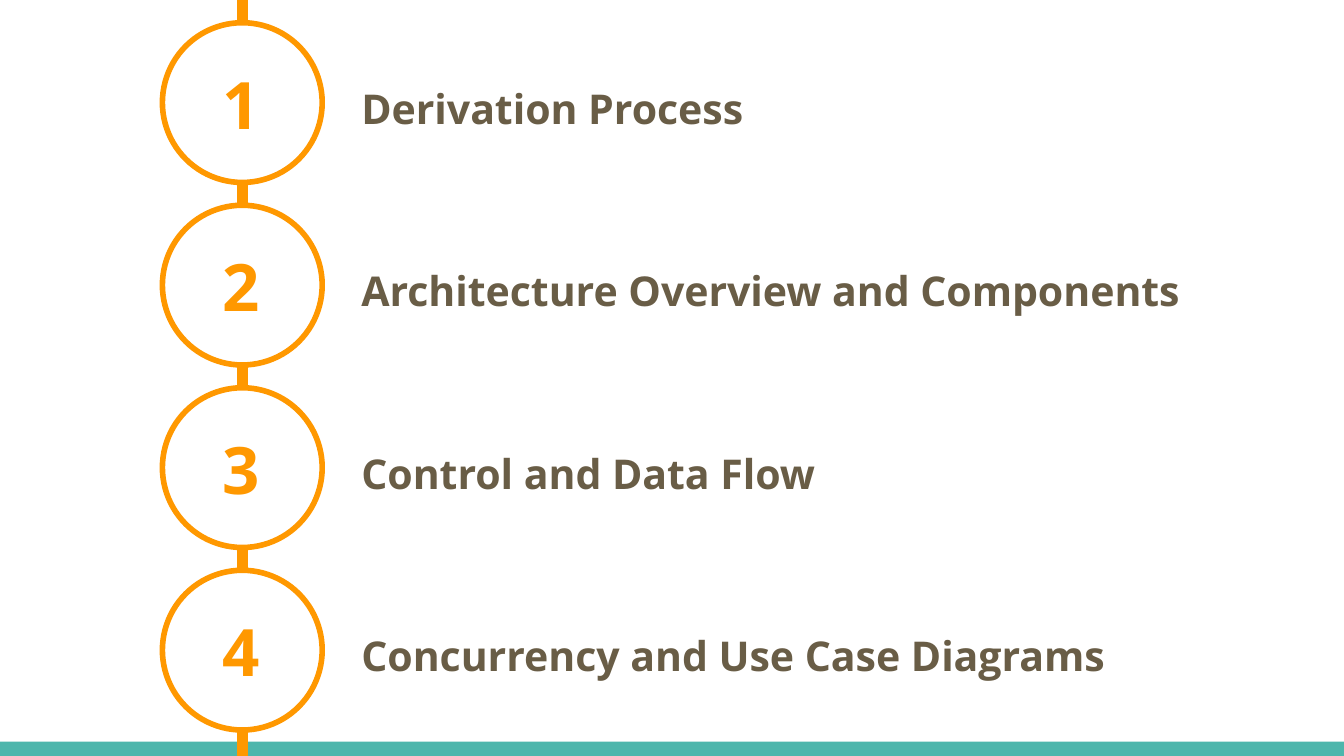
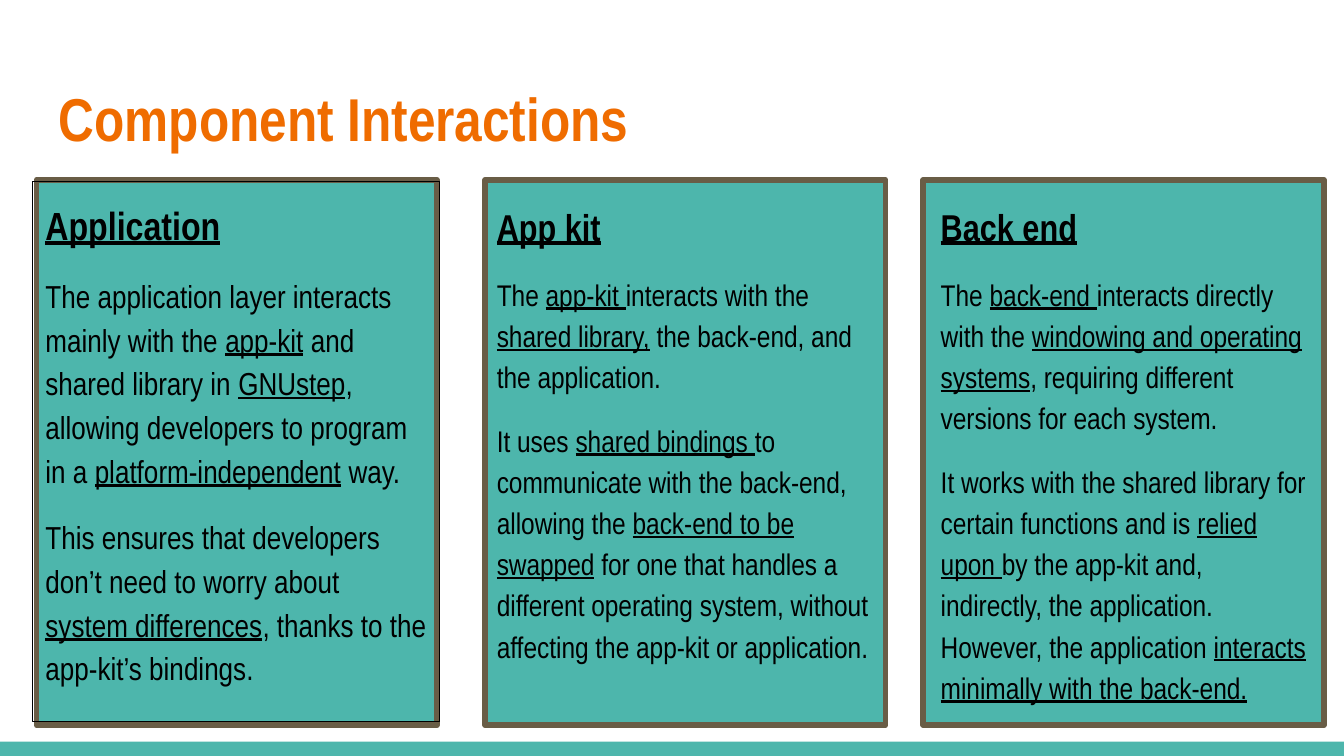
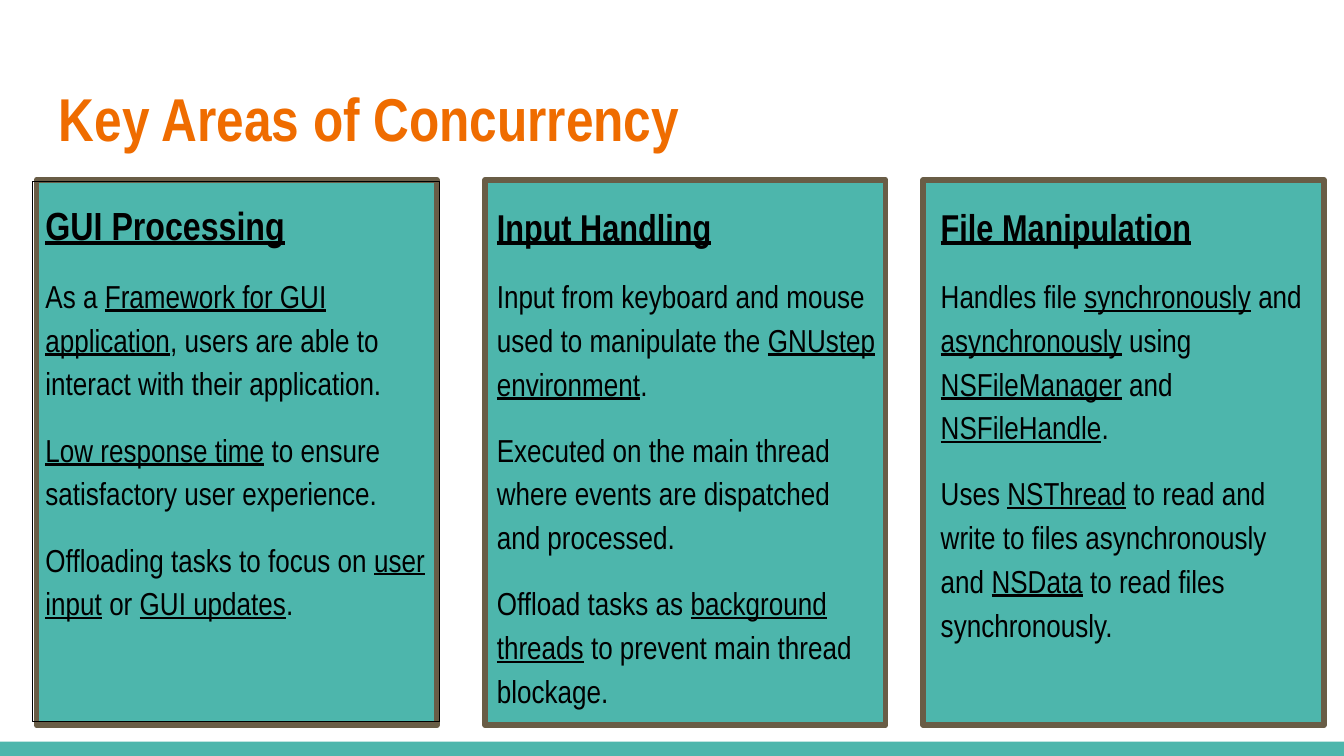
from lxml import etree
from pptx import Presentation
from pptx.dml.color import RGBColor
from pptx.enum.shapes import MSO_CONNECTOR as CONNECTOR, MSO_SHAPE as SHAPE
from pptx.enum.text import MSO_ANCHOR as ANCHOR, MSO_AUTO_SIZE as AUTO, PP_ALIGN as ALIGN
from pptx.oxml.ns import qn
from pptx.util import Cm, Pt

WIDTH, HEIGHT = 25.4, 14.29
TEAL, AMBER, ORANGE, BROWN, BLACK, WHITE = (
    "4DB6AC", "FF9800", "EF6C00", "695D46", "000000", "FFFFFF")
SANS, NARROW = "Open Sans", "Arial Narrow"

TOPICS = ["Derivation Process", "Architecture Overview and Components",
          "Control and Data Flow", "Concurrency and Use Case Diagrams"]

# Each card: heading, body size, text height, paragraphs (_underlined_ parts)
INTERACTIONS = [
    ("Application", 17, 10.21, [
        "The application layer interacts mainly with the _app-kit_ and shared library in "
        "_GNUstep_, allowing developers to program in a _platform-independent_ way.",
        "This ensures that developers don’t need to worry about _system differences_, "
        "thanks to the app-kit’s bindings."]),
    ("App kit", 16, 9.32, [
        "The _app-kit _interacts with the _shared library,_ the back-end, and the application.",
        "It uses _shared bindings _to communicate with the back-end, allowing the "
        "_back-end to be swapped_ for one that handles a different operating system, "
        "without affecting the app-kit or application."]),
    ("Back end", 16, 10.11, [
        "The _back-end _interacts directly with the _windowing and operating systems_, "
        "requiring different versions for each system.",
        "It works with the shared library for certain functions and is _relied upon _by the "
        "app-kit and, indirectly, the application. However, the application "
        "_interacts minimally with the back-end._"]),
]
CONCURRENCY = [
    ("GUI Processing", 17, 10.21, [
        "As a _Framework for GUI application_, users are able to interact with their "
        "application.",
        "_Low response time_ to ensure satisfactory user experience.",
        "Offloading tasks to focus on _user input_ or _GUI updates_."]),
    ("Input Handling", 17, 10.19, [
        "Input from keyboard and mouse used to manipulate the _GNUstep environment_.",
        "Executed on the main thread where events are dispatched and processed.",
        "Offload tasks as _background threads_ to prevent main thread blockage."]),
    ("File Manipulation", 17, 8.94, [
        "Handles file _synchronously_ and_ asynchronously_ using _NSFileManager_ and "
        "_NSFileHandle_.",
        "Uses _NSThread_ to read and write to files asynchronously and _NSData_ to read "
        "files synchronously."]),
]


def rgb(value):
    return RGBColor.from_string(value)


def set_font(font, name, size, color, bold=False):
    font.name, font.size, font.bold = name, Pt(size), bold
    font.color.rgb = rgb(color)


def add_box(shapes, kind, box, fill=None, line=None, weight=3):
    sp = shapes.add_shape(kind, *map(Cm, box))
    sp.shadow.inherit = False
    if fill:
        sp.fill.solid()
        sp.fill.fore_color.rgb = rgb(fill)
    else:
        sp.fill.background()
    if line:
        sp.line.color.rgb = rgb(line)
        sp.line.width = Pt(weight)
    else:
        sp.line.fill.background()
    return sp


def prepare_frame(sp, anchor=ANCHOR.TOP, auto=AUTO.NONE):
    tf = sp.text_frame
    tf.word_wrap, tf.auto_size, tf.vertical_anchor = True, auto, anchor
    tf.margin_left = tf.margin_right = tf.margin_top = tf.margin_bottom = Cm(0.25)
    return tf


def add_label(s, box, text, size, color):
    p = prepare_frame(s.shapes.add_textbox(*map(Cm, box))).paragraphs[0]
    p.text = text
    set_font(p.font, SANS, size, color, bold=True)


def add_footer_band(prs, s):
    """Draw the band and move it to the master, where every slide shares it."""
    band = add_box(s.shapes, SHAPE.RECTANGLE, (0, 14.02, WIDTH, 0.27), TEAL)
    prs.slide_master.shapes.element.append(band.element)


def add_timeline(s, left, top, diameter=3.02, pitch=3.45):
    # Spine behind the circles
    x = Cm(left + diameter / 2)
    spine = s.shapes.add_connector(CONNECTOR.STRAIGHT, x, 0, x, Cm(14.4))
    spine.line.color.rgb = rgb(AMBER)
    spine.line.width = Pt(6)
    etree.SubElement(spine.element.spPr, qn("a:effectLst"))
    # Numbered topics
    for i, topic in enumerate(TOPICS):
        y = top + i * pitch
        add_box(s.shapes, SHAPE.OVAL, (left, y, diameter, diameter), WHITE, AMBER)
        add_label(s, (left + 0.89, y + 0.53, 1.17, 1.4), str(i + 1), 35, AMBER)
        add_label(s, (left + 3.51, y + 0.89, 18.82, 1.4), topic, 22, BROWN)


def add_title(s, text):
    title = s.shapes.title
    title.left, title.top, title.width, title.height = map(Cm, (0.86, 1.24, 23.67, 1.96))
    p = prepare_frame(title, ANCHOR.MIDDLE).paragraphs[0]
    p.text, p.alignment = text, ALIGN.LEFT
    set_font(p.font, NARROW, 32.4, ORANGE, bold=True)


def fill_card(tf, heading, heading_size, size, paragraphs):
    p = tf.paragraphs[0]
    p.text = heading
    set_font(p.font, NARROW, heading_size, BLACK, bold=True)
    p.font.underline = True
    for text in paragraphs:
        p = tf.add_paragraph()
        p.space_before = Pt(12)
        set_font(p.font, NARROW, size, BLACK)
        for i, part in enumerate(text.split("_")):
            if part:
                r = p.add_run()
                r.text = part
                r.font.underline = i % 2 == 1
    p.space_after = Pt(12)
    for p in tf.paragraphs:
        p.alignment, p.line_spacing = ALIGN.LEFT, 1.15


def add_card(shapes, left, top, text_dx, text_width, card, framed):
    heading, size, height, paragraphs = card
    if framed:
        shapes = shapes.add_group_shape().shapes
    add_box(shapes, SHAPE.RECTANGLE, (left, top, 7.57, 10.31), TEAL, BROWN)
    if framed:
        frame = (left + text_dx, top + 0.03, text_width, height)
        tf = prepare_frame(add_box(shapes, SHAPE.RECTANGLE, frame, line=BLACK, weight=0.75))
    else:
        frame = (left + text_dx, top + 0.08, text_width, height)
        tf = prepare_frame(shapes.add_textbox(*map(Cm, frame)), auto=AUTO.SHAPE_TO_FIT_TEXT)
    fill_card(tf, heading, 21 if framed else 20, size, paragraphs)


def add_card_slide(prs, title, cards):
    s = prs.slides.add_slide(prs.slide_layouts[5])
    add_title(s, title)
    # Left edge, text offset and text width of each column
    columns = [(0.69, -0.08, 7.7), (9.17, -0.03, 7.7), (17.45, 0.08, 7.44)]
    for i, ((left, dx, width), card) in enumerate(zip(columns, cards)):
        add_card(s.shapes, left, 3.4, dx, width, card, framed=i == 0)


def main():
    prs = Presentation()
    prs.slide_width, prs.slide_height = Cm(WIDTH), Cm(HEIGHT)
    s = prs.slides.add_slide(prs.slide_layouts[6])
    add_footer_band(prs, s)
    add_timeline(s, 3.07, 0.43)
    add_card_slide(prs, "Component Interactions", INTERACTIONS)
    add_card_slide(prs, "Key Areas of Concurrency", CONCURRENCY)
    prs.save("out.pptx")


if __name__ == "__main__":
    main()
